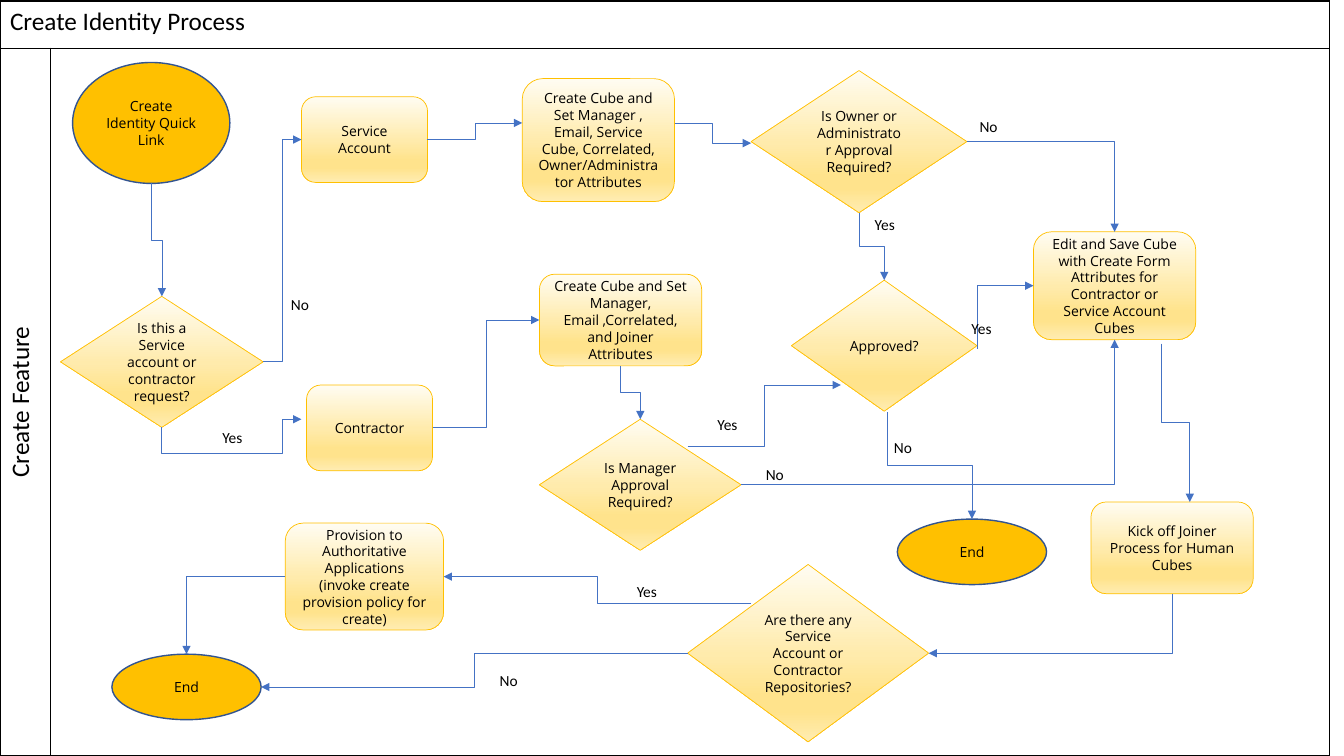
from lxml import etree
from pptx import Presentation
from pptx.dml.color import RGBColor
from pptx.enum.shapes import MSO_CONNECTOR, MSO_SHAPE
from pptx.enum.text import MSO_ANCHOR, PP_ALIGN
from pptx.oxml.ns import qn
from pptx.util import Inches, Pt

ELLIPSE, DIAMOND, ROUNDED = MSO_SHAPE.OVAL, MSO_SHAPE.DIAMOND, MSO_SHAPE.ROUNDED_RECTANGLE
ELBOW = MSO_CONNECTOR.ELBOW
CENTER, LEFT_ALIGNED = PP_ALIGN.CENTER, PP_ALIGN.LEFT
MIDDLE = MSO_ANCHOR.MIDDLE
BODY_FONT, LABEL_FONT = "Open Sans", "Calibri"
COLORS = {"text": "000000", "terminal": "FFC000", "terminal_line": "325491",
          "step_line": "FFC000", "flow": "4472C4", "border": "000000"}
STEP_GRADIENT = [(0, "FFFCF2"), (51, "FFEBAC"), (74, "FFE38C"), (83, "FFE38C"), (100, "FFECB2")]
LABEL_SIZE = (4.5, 3.5)

# Sides of a node, as shares of its width and height
TOP, LEFT, BOTTOM, RIGHT = (0.5, 0), (0, 0.5), (0.5, 1), (1, 0.5)

# All places are columns and rows of a grid with ten cells to the inch
NODES = {
    "quick link": (ELLIPSE, 7.2, 6.2, 15.6, 12, "Create Identity Quick Link"),
    "request type": (DIAMOND, 6, 29.4, 20.1, 13, "Is this a Service account or contractor request?"),
    "service": (ROUNDED, 29.9, 9.6, 12.5, 8.5, "Service Account"),
    "first end": (ELLIPSE, 11.1, 64.9, 14.8, 6.5, "End"),
    "contractor": (ROUNDED, 30.4, 38.2, 12.5, 8.5, "Contractor"),
    "service cube": (ROUNDED, 51.8, 7.8, 15.1, 12.2,
                     "Create Cube and Set Manager , Email, Service Cube, Correlated, "
                     "Owner/Administrator Attributes"),
    "joiner cube": (ROUNDED, 53.5, 27.2, 16.1, 9.1,
                    "Create Cube and Set Manager, Email ,Correlated, and Joiner Attributes"),
    "manager": (DIAMOND, 53.5, 41.6, 20, 13, "Is Manager Approval Required?"),
    "owner": (DIAMOND, 74.5, 7, 21.4, 14.1, "Is Owner or Administrator Approval Required?"),
    "approved": (DIAMOND, 78.5, 27.8, 18.4, 13, "Approved?"),
    "edit": (ROUNDED, 102.5, 23, 16.1, 10.7,
             "Edit and Save Cube with Create Form Attributes for Contractor or Service Account Cubes"),
    "kick off": (ROUNDED, 108.2, 49.8, 16.1, 9.1, "Kick off Joiner Process for Human Cubes"),
    "repositories": (DIAMOND, 68.2, 56, 23.9, 17.6,
                     "Are there any Service Account or Contractor Repositories?"),
    "provision": (ROUNDED, 28.3, 51.9, 15.7, 10.6,
                  "Provision to Authoritative Applications (invoke create provision policy for create)"),
    "second end": (ELLIPSE, 89, 51.5, 14.8, 6.5, "End"),
}

# Start, end, first direction, number of segments; an end is (node, side) or (column, row)
FLOWS = [
    (("quick link", BOTTOM), ("request type", TOP), "down", 3),
    (("request type", RIGHT), ("service", LEFT), "across", 3),
    (("request type", BOTTOM), (29.9, 41.6), "down", 4),
    (("contractor", RIGHT), ("joiner cube", LEFT), "across", 3),
    (("service", RIGHT), (51.8, 12.2), "across", 3),
    ((68.2, 44.3), (83.4, 38.2), "across", 3),
    (("manager", RIGHT), ("edit", BOTTOM), "across", 2),
    ((66.9, 12.2), (74.5, 14.2), "across", 3),
    (("owner", BOTTOM), ("approved", TOP), "down", 3),
    ((96.9, 34.6), ("edit", LEFT), "down", 2),
    ((115.2, 34.1), (118, 49.8), "down", 3),
    (("kick off", BOTTOM), ("repositories", RIGHT), "down", 2),
    (("owner", RIGHT), ("edit", TOP), "across", 2),
    (("joiner cube", BOTTOM), ("manager", TOP), "down", 3),
    ((88, 40.9), ("second end", TOP), "down", 3),
    (("repositories", LEFT), ("first end", RIGHT), "across", 3),
    ((74.5, 59.9), ("provision", RIGHT), "across", 3),
    (("provision", LEFT), ("first end", TOP), "across", 2),
]
DETOUR = [-320000, 86200]  # bends of the four-segment flow, in 1/100000 of its extent

LABELS = {
    "Yes": [(85.5, 20.5), (95.1, 30.8), (69.9, 40.3), (20.8, 41.6), (61.9, 56.9)],
    "No": [(27.5, 28.4), (95.8, 10.8), (74.6, 45.3), (87.3, 42.6), (48.2, 65.7)],
}


def grid(cells):
    return Inches(cells / 10)


def rgb(name):
    return RGBColor.from_string(COLORS[name])


def write(frame, text, font, size, align=CENTER):
    para = frame.paragraphs[0]
    para.text = text
    para.alignment = align
    para.font.name, para.font.size = font, Pt(size)
    para.font.color.rgb = rgb("text")


def add_element(parent, tag, **attributes):
    return etree.SubElement(parent, qn(tag), attributes)


def fill_step(fill):
    fill.gradient()
    fill.gradient_angle = 270
    stops = fill._xPr.find(qn("a:gradFill")).find(qn("a:gsLst"))
    for stop in list(stops):
        stops.remove(stop)
    for percent, color in STEP_GRADIENT:
        stop = add_element(stops, "a:gs", pos=str(percent * 1000))
        add_element(stop, "a:srgbClr", val=color)


def add_swimlane(slide):
    frame = slide.shapes.add_table(2, 2, 0, grid(0.1), grid(131.9), grid(74.9))
    table = frame.table
    table.first_row = table.horz_banding = False
    for column, width in zip(table.columns, (5, 126.9)):
        column.width = grid(width)
    for row, height in zip(table.rows, (4.7, 70.2)):
        row.height = grid(height)
    for cell in table.iter_cells():
        properties = cell._tc.get_or_add_tcPr()
        for side in ("L", "R", "T", "B"):
            line = add_element(properties, f"a:ln{side}", w=str(Pt(1)))
            solid = add_element(line, "a:solidFill")
            add_element(solid, "a:srgbClr", val=COLORS["border"])
        cell.fill.background()
    title, lane = table.cell(0, 0), table.cell(1, 0)
    title.merge(table.cell(0, 1))
    write(title.text_frame, "Create Identity Process", LABEL_FONT, 18, LEFT_ALIGNED)
    write(lane.text_frame, "Create Feature", LABEL_FONT, 18)
    lane._tc.get_or_add_tcPr().set("vert", "vert270")


def add_node(slide, kind, left, top, width, height, text):
    node = slide.shapes.add_shape(kind, *map(grid, (left, top, width, height)))
    node.shadow.inherit = False
    if kind == ELLIPSE:
        node.fill.solid()
        node.fill.fore_color.rgb = rgb("terminal")
        node.line.color.rgb, node.line.width = rgb("terminal_line"), Pt(1)
    else:
        fill_step(node.fill)
        node.line.color.rgb, node.line.width = rgb("step_line"), Pt(0.5)
    node.text_frame.word_wrap = True
    node.text_frame.vertical_anchor = MIDDLE
    write(node.text_frame, text, BODY_FONT, 10)


def locate(end):
    """Return the column and row of a flow's end."""
    if end[0] not in NODES:
        return end
    left, top, width, height = NODES[end[0]][1:5]
    across, down = end[1]
    return left + across * width, top + down * height


def add_flow(slide, start, end, direction, segments):
    """Draw an elbow arrow; one that sets out vertically is a turned horizontal one."""
    (x1, y1), (x2, y2) = locate(start), locate(end)
    width, height = abs(x2 - x1), abs(y2 - y1)
    if direction == "down":
        width, height = height, width
        flip_h, flip_v, turn = y2 > y1, x2 < x1, 270
        if flip_h == flip_v:
            flip_h, flip_v, turn = not flip_h, not flip_v, 90
    else:
        backward = x2 < x1
        flip_h, flip_v, turn = False, (y2 < y1) != backward, 180 if backward else 0
    flow = slide.shapes.add_connector(ELBOW, 0, 0, 0, 0)
    flow.left, flow.top = grid((x1 + x2 - width) / 2), grid((y1 + y2 - height) / 2)
    flow.width, flow.height = grid(width), grid(height)
    flow.line.color.rgb, flow.line.width = rgb("flow"), Pt(0.5)

    properties = flow._element.spPr
    placement = properties.find(qn("a:xfrm"))
    for name, value in (("rot", turn * 60000), ("flipH", int(flip_h)), ("flipV", int(flip_v))):
        placement.set(name, str(value))
    geometry = properties.find(qn("a:prstGeom"))
    geometry.set("prst", f"bentConnector{segments}")
    if segments == 4:
        adjustments = geometry.find(qn("a:avLst"))
        for number, bend in enumerate(DETOUR, 1):
            add_element(adjustments, "a:gd", name=f"adj{number}", fmla=f"val {bend}")
    add_element(properties.find(qn("a:ln")), "a:tailEnd", type="triangle")
    add_element(properties, "a:effectLst")


def add_label(slide, text, left, top):
    box = slide.shapes.add_textbox(*map(grid, (left, top, *LABEL_SIZE)))
    frame = box.text_frame
    frame.word_wrap = True
    frame.margin_left = frame.margin_right = 0
    frame.vertical_anchor = MIDDLE
    write(frame, text, LABEL_FONT, 11)


def main():
    deck = Presentation()
    deck.slide_width, deck.slide_height = Inches(13.33), Inches(7.5)
    slide = deck.slides.add_slide(deck.slide_layouts[6])
    add_swimlane(slide)
    for node in NODES.values():
        add_node(slide, *node)
    for flow in FLOWS:
        add_flow(slide, *flow)
    for text, places in LABELS.items():
        for place in places:
            add_label(slide, text, *place)
    deck.save("out.pptx")


if __name__ == "__main__":
    main()
